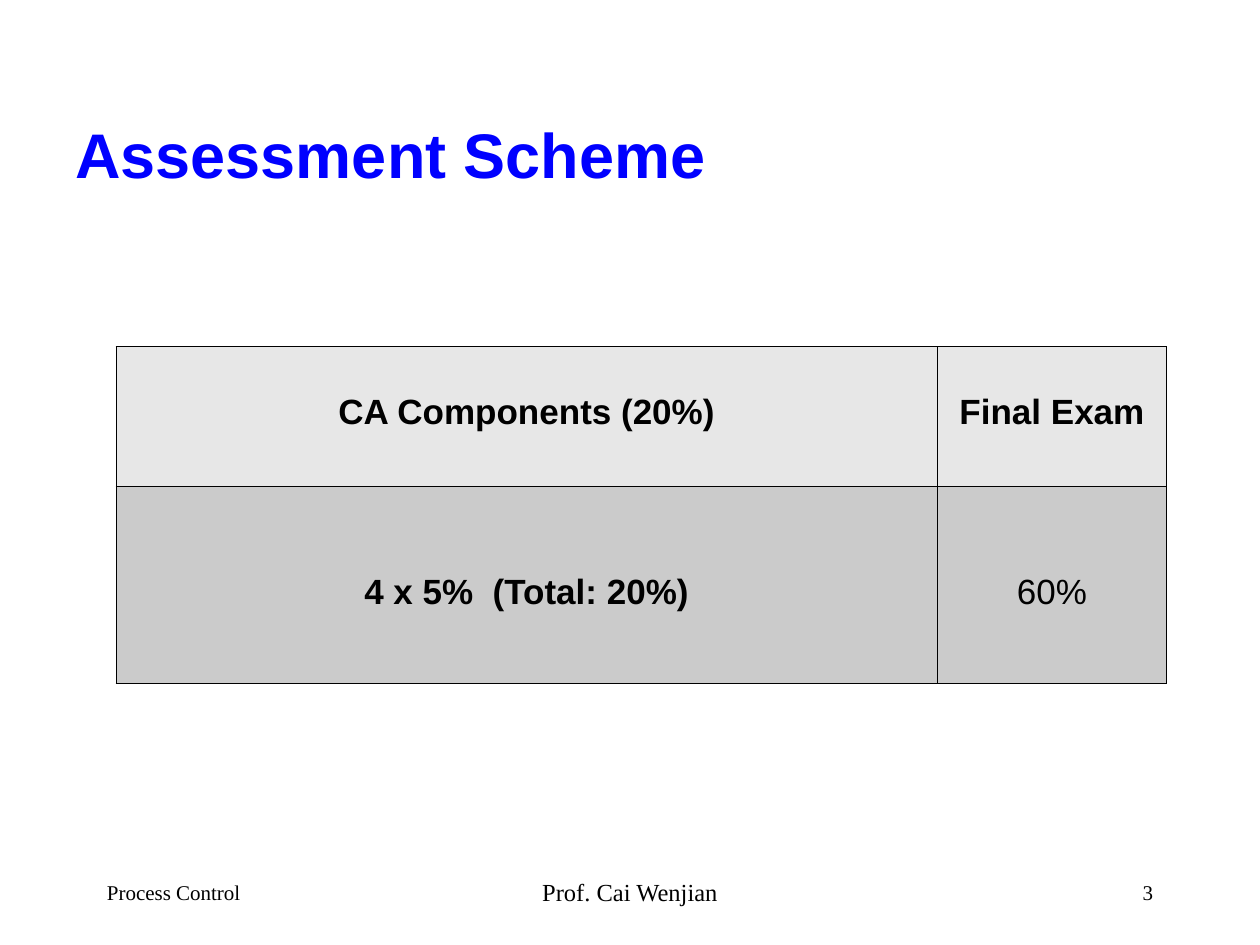
from lxml import etree
from pptx import Presentation
from pptx.dml.color import RGBColor
from pptx.enum import text
from pptx.oxml import ns
from pptx.util import Inches, Pt

BLACK = RGBColor(0x00, 0x00, 0x00)
BLUE = RGBColor(0x00, 0x00, 0xFF)
HEADER_GRAY = RGBColor(0xE7, 0xE7, 0xE7)
BODY_GRAY = RGBColor(0xCB, 0xCB, 0xCB)
LEFT, CENTER, RIGHT = text.PP_ALIGN.LEFT, text.PP_ALIGN.CENTER, text.PP_ALIGN.RIGHT


def style_paragraph(p, size, align, font="Arial", color=BLACK, bold=False):
    """Set the alignment and font of a paragraph."""
    p.alignment = align
    p.font.size = Pt(size)
    p.font.name = font
    p.font.bold = bold
    p.font.color.rgb = color


def add_text(slide, box, words, size, align, wrap=True, **style):
    """Add a vertically centred line of text in the given box."""
    sp = slide.shapes.add_textbox(*map(Inches, box))
    tf = sp.text_frame
    tf.word_wrap = wrap
    tf.vertical_anchor = text.MSO_ANCHOR.MIDDLE
    p = tf.paragraphs[0]
    p.text = words
    style_paragraph(p, size, align, **style)


def add_borders(cell):
    """Draw a thin black line on all four sides of a cell."""
    tc_pr = cell._tc.get_or_add_tcPr()
    for i, side in enumerate(("lnL", "lnR", "lnT", "lnB")):
        ln = etree.Element(ns.qn(f"a:{side}"), w=str(Pt(0.45)))
        fill = etree.SubElement(ln, ns.qn("a:solidFill"))
        etree.SubElement(fill, ns.qn("a:srgbClr"), val=str(BLACK))
        tc_pr.insert(i, ln)


def add_assessment_table(slide, box):
    """Add the table of assessment weights in the given box."""
    table = slide.shapes.add_table(2, 2, *map(Inches, box)).table
    for column, width in zip(table.columns, (6.52, 1.82)):
        column.width = Inches(width)
    rows = (
        (1.11, 0.37, HEADER_GRAY, (("CA Components (20%)", True), ("Final Exam", True))),
        (1.56, 0.69, BODY_GRAY, (("4 x 5%  (Total: 20%)", True), ("60%", False))),
    )
    for row, (height, top, fill, entries) in zip(table.rows, rows):
        row.height = Inches(height)
        for cell, (words, bold) in zip(row.cells, entries):
            cell.text = words
            cell.margin_left = cell.margin_right = Inches(0.08)
            cell.margin_top = Inches(top)
            cell.fill.solid()
            cell.fill.fore_color.rgb = fill
            style_paragraph(cell.text_frame.paragraphs[0], 20, CENTER, bold=bold)
            add_borders(cell)


def add_footer(slide, box):
    """Add the course, lecturer and page number across the given box."""
    left, top, width, height = box
    side, middle = 2.08, 3.17
    parts = (
        ("Process Control", left, side, 12, LEFT),
        ("Prof. Cai Wenjian", left + (width - middle) / 2, middle, 14, CENTER),
        ("3", left + width - side, side, 12, RIGHT),
    )
    for words, x, w, size, align in parts:
        add_text(slide, (x, top, w, height), words, size, align, font="Times New Roman")


def main():
    """Build and save the slide."""
    prs = Presentation()
    prs.slide_width, prs.slide_height = Inches(10), Inches(7.5)
    slide = prs.slides.add_slide(prs.slide_layouts[6])
    add_footer(slide, (0.75, 6.83, 8.5, 0.5))
    add_assessment_table(slide, (0.92, 2.75, 8.34, 2.67))
    add_text(slide, (0.5, 0.6, 8.5, 1.23), "Assessment Scheme", 36, LEFT, color=BLUE, bold=True)
    prs.save("out.pptx")


if __name__ == "__main__":
    main()
